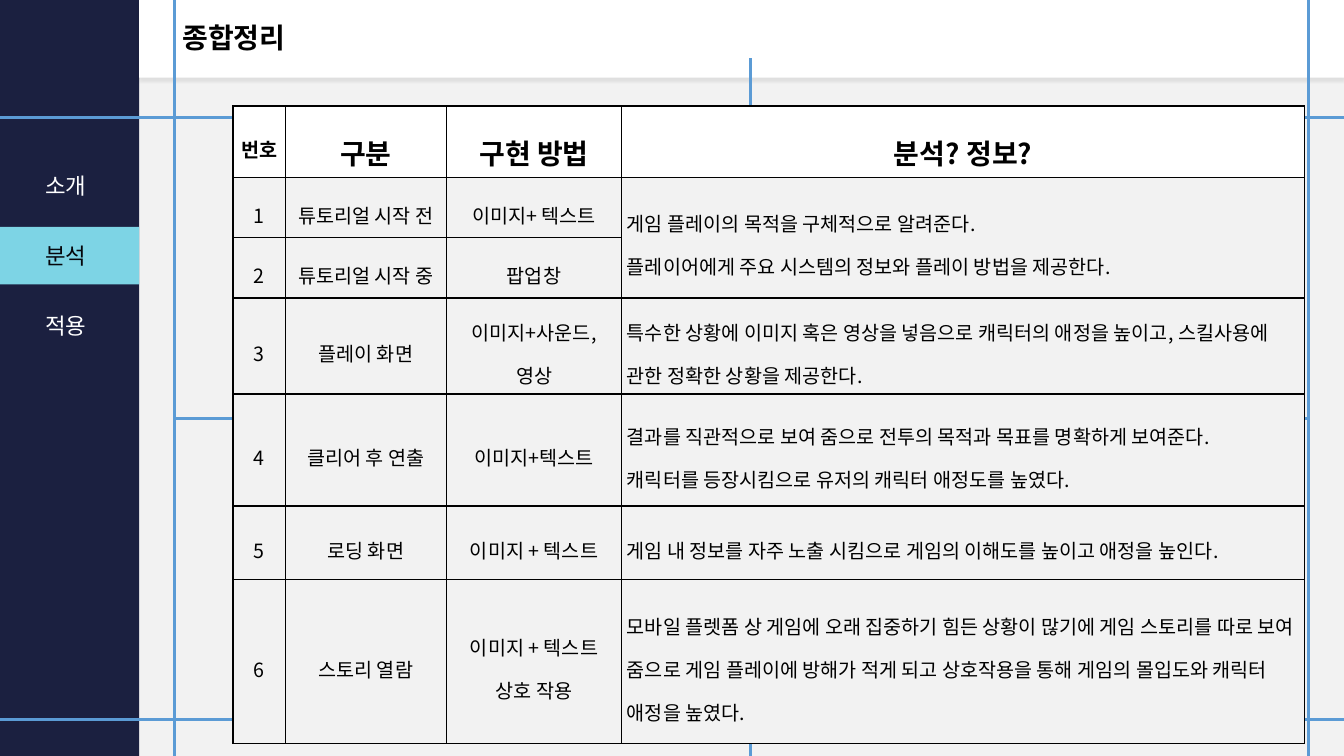
from lxml.etree import SubElement
from pptx import Presentation
from pptx.dml.color import RGBColor
from pptx.enum.shapes import MSO_CONNECTOR, MSO_SHAPE
from pptx.enum.text import MSO_ANCHOR, MSO_AUTO_SIZE, PP_ALIGN
from pptx.oxml import parse_xml
from pptx.oxml.ns import nsdecls, qn
from pptx.util import Cm, Pt

NAVY = RGBColor(0x1B, 0x20, 0x40)
AQUA = RGBColor(0x7D, 0xD4, 0xE5)
BLUE = RGBColor(0x5B, 0x9B, 0xD5)
INK = RGBColor(0x05, 0x06, 0x0B)
BLACK = RGBColor(0, 0, 0)
WHITE = RGBColor(0xFF, 0xFF, 0xFF)
GREY = RGBColor(0xF2, 0xF2, 0xF2)

WIDTH, HEIGHT = 33.87, 19.05
SIDEBAR = 3.51
COLUMNS = [1.32, 4.06, 4.42, 17.2]
ROWS = [1.52, 1.52, 1.52, 1.52, 2.82, 1.85, 4.14]
HEADER = ["번호", "구분", "구현 방법", "분석? 정보?"]
BODY = [
    ["1", "튜토리얼 시작 전", "이미지+ 텍스트",
     "게임 플레이의 목적을 구체적으로 알려준다.\n"
     "플레이어에게 주요 시스템의 정보와 플레이 방법을 제공한다."],
    ["2", "튜토리얼 시작 중", "팝업창", ""],
    ["3", "플레이 화면", "이미지+사운드,\n영상",
     "특수한 상황에 이미지 혹은 영상을 넣음으로 캐릭터의 애정을 높이고, "
     "스킬사용에 관한 정확한 상황을 제공한다."],
    ["4", "클리어 후 연출", "이미지+텍스트",
     "결과를 직관적으로 보여 줌으로 전투의 목적과 목표를 명확하게 보여준다.\n"
     "캐릭터를 등장시킴으로 유저의 캐릭터 애정도를 높였다."],
    ["5", "로딩 화면", "이미지 + 텍스트",
     "게임 내 정보를 자주 노출 시킴으로 게임의 이해도를 높이고 애정을 높인다."],
    ["6", "스토리 열람", "이미지 + 텍스트\n상호 작용",
     "모바일 플렛폼 상 게임에 오래 집중하기 힘든 상황이 많기에 게임 스토리를 따로 "
     "보여 줌으로 게임 플레이에 방해가 적게 되고 상호작용을 통해 게임의 몰입도와 "
     "캐릭터 애정을 높였다."],
]


class SlideBuilder:
    latin = "Arial"
    korean = "Noto Sans CJK KR"

    def __init__(self, page):
        self.page = page
        page.background.fill.solid()
        page.background.fill.fore_color.rgb = GREY

    def format_text(self, frame, size, color, bold=False, font=latin,
                    align=PP_ALIGN.LEFT, spacing=None):
        for para in frame.paragraphs:
            para.alignment = align
            para.line_spacing = spacing
            for span in para.runs:
                span.font.size = Pt(size)
                span.font.bold = bold
                span.font.color.rgb = color
                span.font.name = font
                east_asian = SubElement(span.font._element, qn("a:ea"))
                east_asian.set("typeface", self.korean)

    def rectangle(self, left, top, width, height, color):
        shape = self.page.shapes.add_shape(
            MSO_SHAPE.RECTANGLE, Cm(left), Cm(top), Cm(width), Cm(height))
        shape.shadow.inherit = False
        shape.fill.solid()
        shape.fill.fore_color.rgb = color
        shape.line.fill.background()
        return shape

    def header_bar(self, left, height):
        bar = self.rectangle(left, 0, WIDTH - left, height, WHITE)
        effects = bar.element.spPr.find(qn("a:effectLst"))
        effects.append(parse_xml(
            f'<a:outerShdw {nsdecls("a")} blurRad="{Pt(2)}" dist="{Pt(2)}" '
            'dir="5400000" algn="t" rotWithShape="0"><a:srgbClr val="000000">'
            '<a:alpha val="8000"/></a:srgbClr></a:outerShdw>'))

    def guide(self, x1, y1, x2, y2):
        line = self.page.shapes.add_connector(
            MSO_CONNECTOR.STRAIGHT, Cm(x1), Cm(y1), Cm(x2), Cm(y2))
        line.line.color.rgb = BLUE
        line.line.width = Pt(2.25)
        SubElement(line.element.spPr, qn("a:effectLst"))

    def label(self, text, top, color):
        box = self.page.shapes.add_textbox(Cm(0.89), Cm(top), Cm(1.65), Cm(0.94))
        frame = box.text_frame
        frame.word_wrap = False
        frame.auto_size = MSO_AUTO_SIZE.SHAPE_TO_FIT_TEXT
        frame.text = text
        self.format_text(frame, 16, color)

    def title(self, text):
        title = self.page.shapes.title
        title.left, title.top = Cm(4.34), Cm(0)
        title.width, title.height = Cm(25.63), Cm(1.98)
        title.element.getparent().append(title.element)  # above the header bar
        frame = title.text_frame
        frame.text = text
        frame.vertical_anchor = MSO_ANCHOR.MIDDLE
        self.format_text(frame, 20, BLACK, bold=True, spacing=0.9)

    def cell(self, cell, text, fill, size, bold, align):
        cell.margin_left = cell.margin_right = Cm(0.13)
        cell.margin_top = cell.margin_bottom = Cm(0.13)
        cell.vertical_anchor = MSO_ANCHOR.MIDDLE
        for side in "LRTB":
            cell._tc.tcPr.append(parse_xml(
                f'<a:ln{side} {nsdecls("a")} w="{Pt(1)}"><a:solidFill>'
                f'<a:srgbClr val="{BLACK}"/></a:solidFill></a:ln{side}>'))
        cell.fill.solid()
        cell.fill.fore_color.rgb = fill
        if text:
            cell.text_frame.text = text
            self.format_text(cell.text_frame, size, BLACK, bold, self.korean, align, 1.5)

    def table(self, left, top):
        table = self.page.shapes.add_table(
            len(ROWS), len(COLUMNS), Cm(left), Cm(top),
            Cm(sum(COLUMNS)), Cm(sum(ROWS))).table
        table.horz_banding = table.first_row = False
        for column, width in zip(table.columns, COLUMNS):
            column.width = Cm(width)
        for row, height in zip(table.rows, ROWS):
            row.height = Cm(height)
        for r, texts in enumerate([HEADER] + BODY):
            for c, text in enumerate(texts):
                heading = r == 0
                centred = heading or c < 3
                self.cell(table.cell(r, c), text, WHITE if heading else GREY,
                          20 if heading and c else 14, heading,
                          PP_ALIGN.CENTER if centred else PP_ALIGN.LEFT)
        table.cell(1, 3).merge(table.cell(2, 3))


def main():
    deck = Presentation()
    deck.slide_width, deck.slide_height = Cm(WIDTH), Cm(HEIGHT)
    slide = SlideBuilder(deck.slides.add_slide(deck.slide_layouts[5]))

    slide.rectangle(0, 0, SIDEBAR, HEIGHT, NAVY)
    slide.header_bar(SIDEBAR, 1.96)
    for x in (4.39, 32.97):
        slide.guide(x, -0.56, x, 20.52)
    for y in (2.95, 18.14):
        slide.guide(-1.47, y, 36.58, y)
    slide.guide(4.39, 10.54, 32.97, 10.54)
    slide.guide(18.92, 1.47, 18.92, 20.17)

    slide.label("소개", 4.22, WHITE)
    slide.label("적용", 7.75, WHITE)
    slide.rectangle(0, 5.72, SIDEBAR, 1.45, AQUA)
    slide.label("분석", 5.97, INK)

    slide.title("종합정리")
    slide.table(5.87, 2.67)
    deck.save("out.pptx")


if __name__ == "__main__":
    main()
